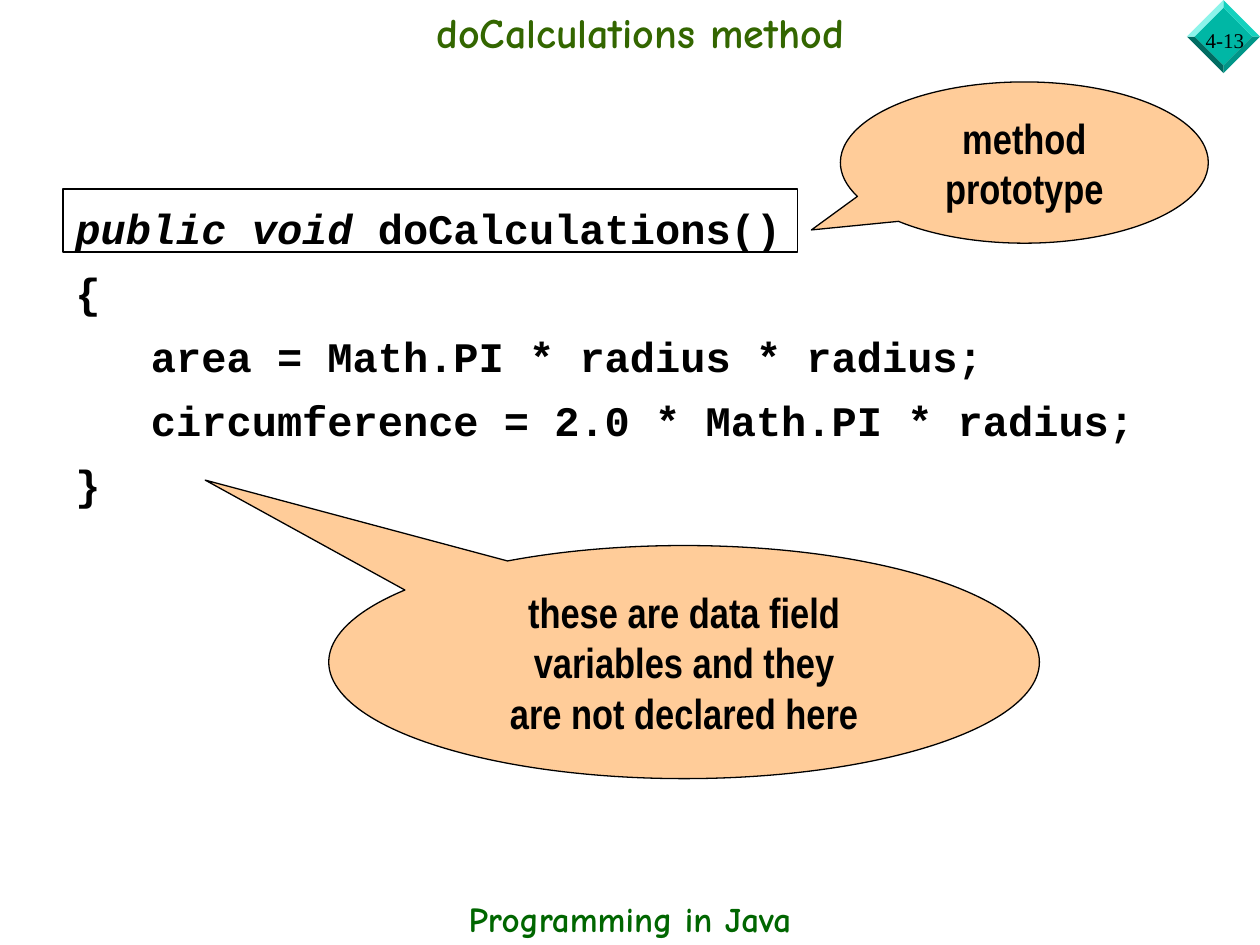
"""Build the doCalculations method slide."""
from dataclasses import dataclass

from pptx import Presentation
from pptx.dml.color import RGBColor
from pptx.enum.shapes import MSO_SHAPE
from pptx.enum.text import MSO_ANCHOR, PP_ALIGN
from pptx.shapes.autoshape import Shape
from pptx.slide import Slide
from pptx.text.text import TextFrame, _Paragraph
from pptx.util import Inches, Pt


@dataclass(frozen=True)
class Box:
    left: float
    top: float
    width: float
    height: float


@dataclass(frozen=True)
class TextStyle:
    font: str
    size: int
    color: str = "000000"
    bold: bool = True


@dataclass(frozen=True)
class Callout:
    box: Box
    tail: tuple[float, float]
    lines: tuple[str, ...]


@dataclass(frozen=True)
class Facet:
    color: str
    points: tuple[tuple[float, float], ...]


TITLE = TextStyle("Comic Neue", 24, "336600")
FOOTER = TextStyle("Comic Neue", 20, "006600")
NUMBER = TextStyle("Times New Roman", 12, bold=False)
CODE = TextStyle("Courier New", 24)
CALLOUT = TextStyle("Arial Narrow", 24)

CODE_LINES = (
    (("public void", True), (" doCalculations()", False)),
    (("{", False),),
    (("   area = Math.PI * radius * radius;", False),),
    (("   circumference = 2.0 * Math.PI * radius;", False),),
    (("}", False),),
)

CALLOUTS = (
    Callout(Box(2.61, 4.33, 5.64, 1.85), (-0.674, -0.781),
            ("these are data field", "variables and they", "are not declared here")),
    Callout(Box(6.67, 0.65, 2.92, 1.28), (-0.579, 0.418), ("method prototype",)),
)


def diamond_points(radius: float) -> tuple[tuple[float, float], ...]:
    """Return the top, right, bottom and left corners of the badge."""
    x, y = 9.71, 0.29
    return (x, y - radius), (x + radius, y), (x, y + radius), (x - radius, y)


def rgb(color: str) -> RGBColor:
    """Turn a hex string into a colour."""
    return RGBColor.from_string(color)


def lengths(box: Box) -> tuple[Inches, ...]:
    """Convert a box to slide lengths."""
    return tuple(Inches(value) for value in (box.left, box.top, box.width, box.height))


def add_run(paragraph: _Paragraph, text: str, style: TextStyle, italic: bool = False) -> None:
    """Append one styled run."""
    run = paragraph.add_run()
    run.text = text
    run.font.name = style.font
    run.font.size = Pt(style.size)
    run.font.bold = style.bold
    run.font.italic = italic
    run.font.color.rgb = rgb(style.color)


def add_text_box(slide: Slide, box: Box) -> TextFrame:
    """Add a wrapping text box and return its frame."""
    frame = slide.shapes.add_textbox(*lengths(box)).text_frame
    frame.word_wrap = True
    return frame


def outline(shape: Shape) -> None:
    """Give a shape a thin black line and no shadow."""
    shape.shadow.inherit = False
    shape.line.color.rgb = rgb("000000")
    shape.line.width = Pt(0.75)


def add_badge(slide: Slide) -> None:
    """Draw the bevelled diamond and the slide number."""
    inner, outer = diamond_points(0.23), diamond_points(0.29)
    facets = [Facet("00B7A5", inner)]
    for corner, color in enumerate(("14D1BE", "009688", "006B61", "8CF4EA")):
        following = (corner + 1) % 4
        facets.append(Facet(color, (inner[corner], outer[corner],
                                    outer[following], inner[following])))
    for facet in facets:
        points = [(Inches(x), Inches(y)) for x, y in facet.points]
        builder = slide.shapes.build_freeform(*points[0])
        builder.add_line_segments(points[1:], close=True)
        shape = builder.convert_to_shape()
        shape.shadow.inherit = False
        shape.fill.solid()
        shape.fill.fore_color.rgb = rgb(facet.color)
        shape.line.fill.background()
    frame = add_text_box(slide, Box(9.47, 0.17, 0.53, 0.3))
    add_run(frame.paragraphs[0], "4-13", NUMBER)


def add_title(slide: Slide) -> None:
    """Place and format the title."""
    title = slide.shapes.title
    title.left, title.top, title.width, title.height = lengths(Box(0.83, 0, 8.5, 0.5))
    frame = title.text_frame
    frame.vertical_anchor = MSO_ANCHOR.MIDDLE
    frame.paragraphs[0].alignment = PP_ALIGN.CENTER
    add_run(frame.paragraphs[0], "doCalculations method", TITLE)


def add_footer(slide: Slide) -> None:
    """Add the course name at the bottom."""
    paragraph = add_text_box(slide, Box(0, 7.07, 10, 0.44)).paragraphs[0]
    paragraph.alignment = PP_ALIGN.CENTER
    add_run(paragraph, "Programming in Java", FOOTER)


def add_code(slide: Slide) -> None:
    """Add the code and the frame around its first line."""
    frame = add_text_box(slide, Box(0.5, 1.56, 9.17, 2.5))
    for index, line in enumerate(CODE_LINES):
        paragraph = frame.add_paragraph() if index else frame.paragraphs[0]
        if index:
            paragraph.space_before = Pt(7.7)
        for text, italic in line:
            add_run(paragraph, text, CODE, italic)
    border = slide.shapes.add_shape(MSO_SHAPE.RECTANGLE, *lengths(Box(0.5, 1.5, 5.83, 0.5)))
    border.fill.background()
    outline(border)


def add_callout(slide: Slide, callout: Callout) -> None:
    """Add an elliptical callout with centred text."""
    shape = slide.shapes.add_shape(MSO_SHAPE.OVAL_CALLOUT, *lengths(callout.box))
    shape.adjustments[0], shape.adjustments[1] = callout.tail
    shape.fill.solid()
    shape.fill.fore_color.rgb = rgb("FFCC99")
    outline(shape)
    frame = shape.text_frame
    frame.word_wrap = True
    frame.vertical_anchor = MSO_ANCHOR.MIDDLE
    paragraph = frame.paragraphs[0]
    paragraph.alignment = PP_ALIGN.CENTER
    for index, line in enumerate(callout.lines):
        if index:
            paragraph.add_line_break()
        add_run(paragraph, line, CALLOUT)


def main() -> None:
    """Create and save the presentation."""
    presentation = Presentation()
    presentation.slide_width, presentation.slide_height = Inches(10), Inches(7.5)
    slide = presentation.slides.add_slide(presentation.slide_layouts[5])
    add_badge(slide)
    add_footer(slide)
    add_title(slide)
    add_code(slide)
    for callout in CALLOUTS:
        add_callout(slide, callout)
    presentation.save("out.pptx")


if __name__ == "__main__":
    main()
